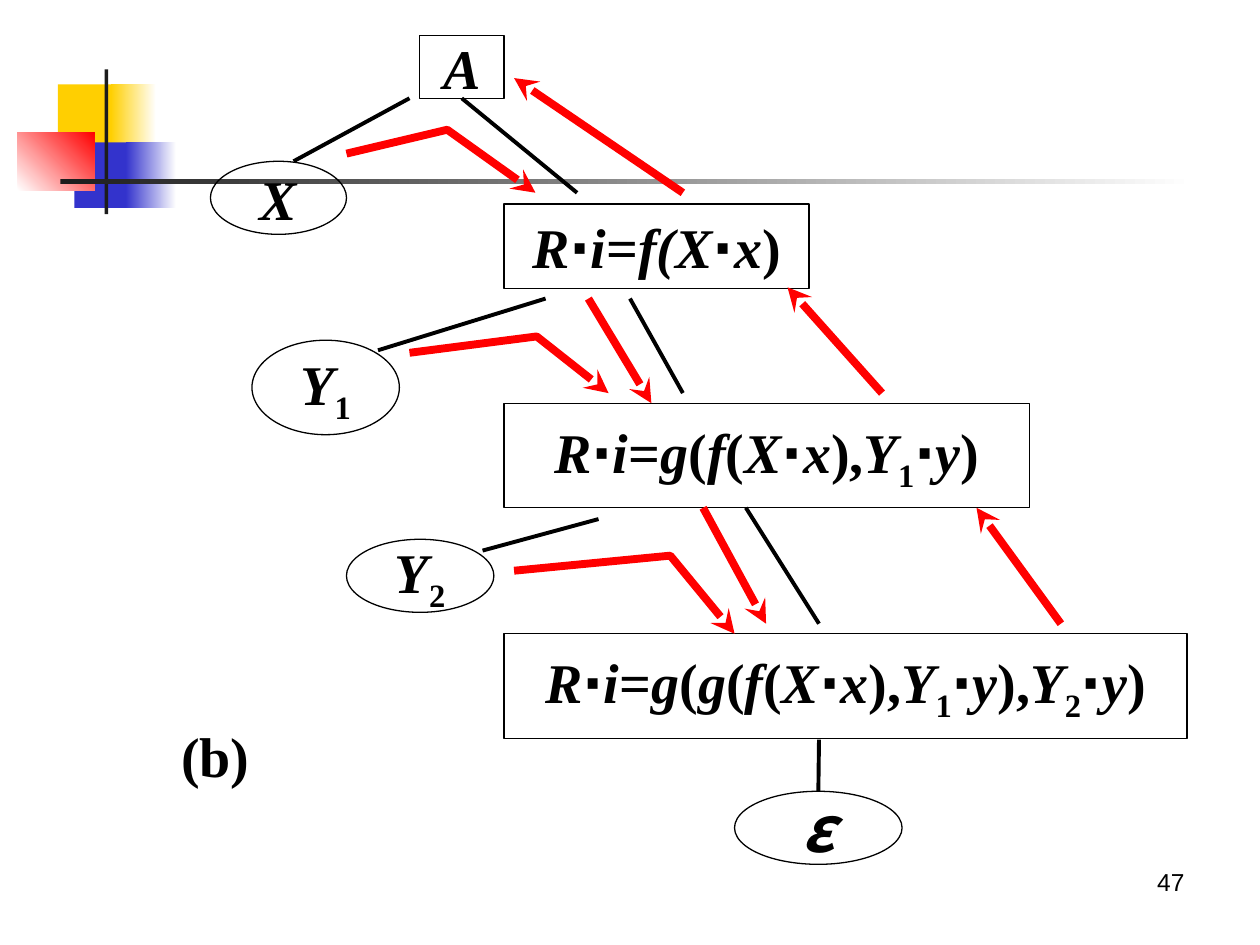
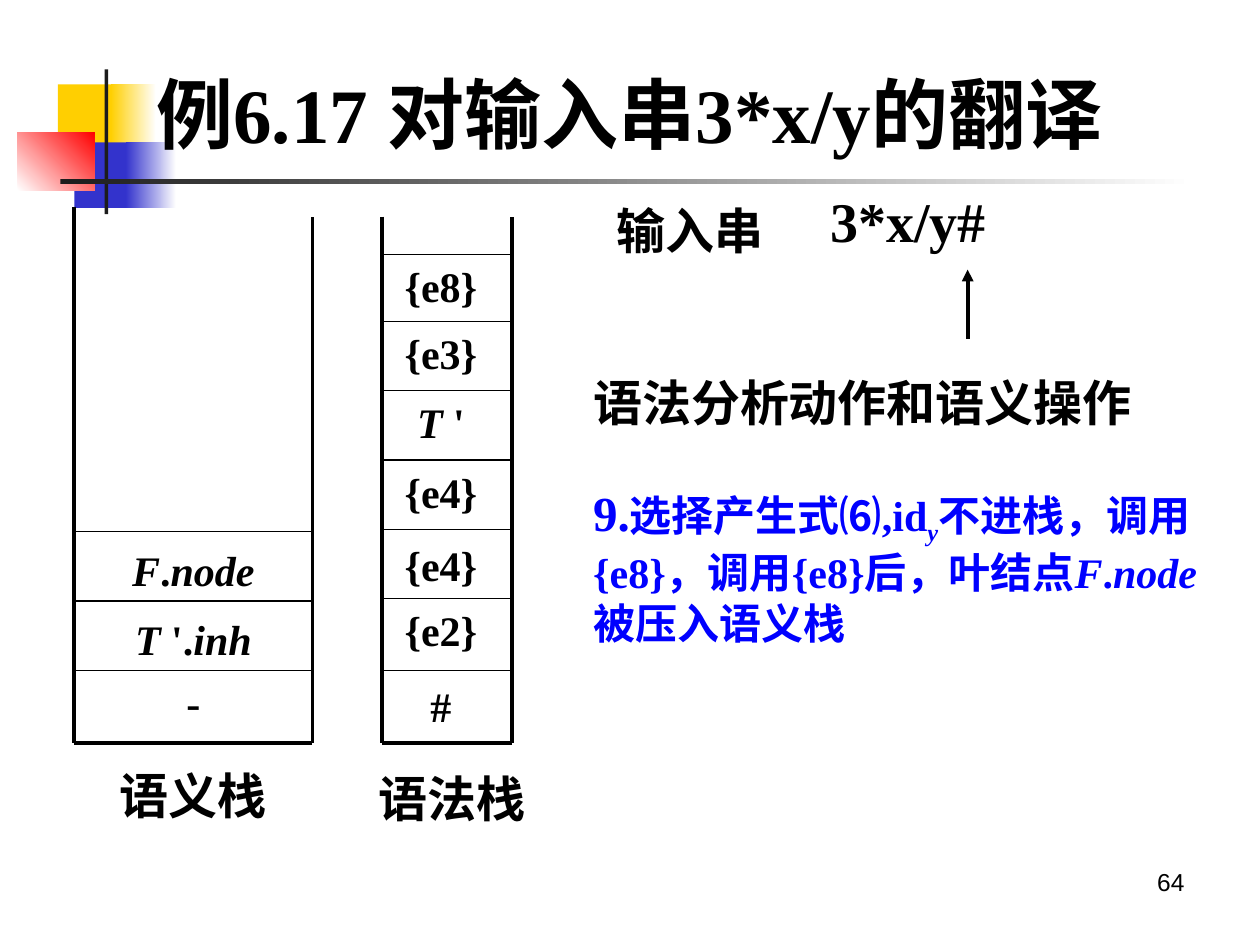
"""Builds two compiler slides: an attribute evaluation tree and a translation stack trace."""
from lxml.etree import SubElement
from pptx import Presentation
from pptx.dml.color import RGBColor
from pptx.enum.shapes import MSO_CONNECTOR as LINK, MSO_SHAPE as SHAPE
from pptx.enum.text import MSO_ANCHOR as ANCHOR, MSO_AUTO_SIZE as FIT, PP_ALIGN as ALIGN
from pptx.oxml.ns import qn
from pptx.util import Inches, Pt

BLACK, RED, BLUE, WHITE = "000000", "FF0000", "0000FF", "FFFFFF"
YELLOW, INDIGO, CHARCOAL = "FFCF01", "3333CC", "1C1C1C"
SERIF, SANS, CJK = "Times New Roman", "Arial", "Noto Sans CJK SC"
rgb = RGBColor.from_string


def write(frame, markup, size=24, align=ALIGN.CENTER, color=BLACK, font=SERIF,
          bold=True, anchor=ANCHOR.TOP, wrap=True):
    """Fills a frame with runs split by |, where / marks italic and _ a subscript."""
    frame.word_wrap, frame.vertical_anchor, frame.auto_size = wrap, anchor, FIT.NONE
    paragraph = frame.paragraphs[0]
    paragraph.alignment = align
    for part in markup.split("|"):
        italic = part.startswith("/")
        part = part.removeprefix("/")
        run = paragraph.add_run()
        run.text = part.removeprefix("_")
        run.font.name = SANS if part == "⋅" else font
        run.font.size, run.font.bold, run.font.italic = Pt(size), bold, italic
        run.font.color.rgb = rgb(color)
        properties = run.font._element
        SubElement(properties, qn("a:ea"), typeface=CJK)
        if part.startswith("_"):
            properties.set("baseline", "-25000")
    return paragraph


def stroke(shape, color=BLACK, width=2.25, tip=None):
    """Sets a plain line with an optional arrowhead at its end."""
    shape.line.color.rgb = rgb(color)
    shape.line.width = Pt(width)
    properties = shape.element.spPr
    if tip:
        SubElement(properties.find(qn("a:ln")), qn("a:tailEnd"), type=tip)
    SubElement(properties, qn("a:effectLst"))


prs = Presentation()
prs.slide_width, prs.slide_height = Inches(10), Inches(7.5)
tree = prs.slides.add_slide(prs.slide_layouts[6])
trace = prs.slides.add_slide(prs.slide_layouts[5])

bands = [
    (0.46, 0.67, 0.48, 0.52, [YELLOW], 0),
    (0.88, 0.67, 0.36, 0.52, [YELLOW, WHITE], 0),
    (0.59, 1.13, 0.46, 0.52, [INDIGO], 0),
    (1, 1.13, 0.4, 0.52, [INDIGO, WHITE], 0),
    (0.14, 1.05, 0.61, 0.46, [WHITE, RED], 45),
    (0.83, 0.55, 0.03, 1.15, [CHARCOAL], 0),
    (0.48, 1.42, 9, 0.04, [CHARCOAL, WHITE], 0),
]
for *place, colors, angle in bands:
    band = tree.shapes.add_shape(SHAPE.RECTANGLE, *map(Inches, place))
    band.shadow.inherit = False
    band.line.fill.background()
    if len(colors) == 1:
        band.fill.solid()
        band.fill.fore_color.rgb = rgb(colors[0])
    else:
        band.fill.gradient()
        band.fill.gradient_angle = angle
        for stop, color in zip(band.fill.gradient_stops, colors):
            stop.color.rgb = rgb(color)
    prs.slide_master.shapes.element.append(band.element)

for slide, number in [(tree, "47"), (trace, "64")]:
    corner = slide.shapes.add_textbox(Inches(7.17), Inches(6.83), Inches(2.33), Inches(0.52))
    write(corner.text_frame, number, 14, ALIGN.RIGHT, font=SANS, bold=False)

symbols = [
    (SHAPE.RECTANGLE, 3.33, 0.28, 0.67, 0.5, "/A"),
    (SHAPE.RECTANGLE, 4, 1.62, 2.42, 0.67, "/R|⋅|/i|=|/f(X|⋅|/x|)"),
    (SHAPE.RECTANGLE, 4, 3.2, 4.17, 0.83, "/R|⋅|/i|=|/g|(|/f|(|/X|⋅|/x|),|/Y|_1|⋅|/y|)"),
    (SHAPE.RECTANGLE, 4, 5.03, 5.42, 0.83,
     "/R|⋅|/i|=|/g|(|/g|(|/f|(|/X|⋅|/x|),|/Y|_1|⋅|/y|),|/Y|_2|⋅|/y|)"),
    (SHAPE.OVAL, 2.75, 4.28, 1.17, 0.58, "/Y|_2"),
    (SHAPE.OVAL, 2, 2.7, 1.17, 0.75, "/Y|_1"),
    (SHAPE.OVAL, 1.67, 1.28, 1.08, 0.58, "/X"),
    (SHAPE.OVAL, 5.83, 6.28, 1.33, 0.58, "/ε"),
]
nodes = []
for outline, *place, markup in symbols:
    node = tree.shapes.add_shape(outline, *map(Inches, place))
    node.fill.background()
    stroke(node, width=0.75)
    size, font = (36, CJK) if markup == "/ε" else (32, SERIF)
    write(node.text_frame, markup, size, font=font, anchor=ANCHOR.MIDDLE, wrap=False)
    nodes.append(node)
root, epsilon = nodes[0], nodes[-1]

branches = [
    (3.67, 0.78, 4.58, 1.53), (3.25, 0.78, 2.33, 1.28), (5, 2.37, 5.42, 3.12),
    (4.33, 2.37, 3, 2.78), (5.92, 4.03, 6.5, 4.95), (4.75, 4.12, 3.83, 4.37),
    (6.5, 5.87, 6.5, 6.28),
]
edges = []
for ends in branches:
    edge = tree.shapes.add_connector(LINK.STRAIGHT, *map(Inches, ends))
    stroke(edge)
    edges.append(edge)
edges[0].begin_connect(root, 2)
edges[-1].end_connect(epsilon, 0)

inherited_flows = [
    [(2.75, 1.22), (3.55, 1.03), (4.25, 1.53)],
    [(3.25, 2.8), (4.26, 2.67), (4.83, 3.12)],
    [(4.08, 4.53), (5.32, 4.41), (5.83, 5.03)],
]
for start, *bends in inherited_flows:
    builder = tree.shapes.build_freeform(*map(Inches, start), scale=1.0)
    builder.add_line_segments([(Inches(x), Inches(y)) for x, y in bends], close=False)
    flow = builder.convert_to_shape()
    flow.fill.background()
    stroke(flow, RED, 4.5, "stealth")

direct_flows = [
    (4.67, 2.37, 5.17, 3.2), (5.58, 4.03, 6.08, 4.95), (8.42, 4.95, 7.75, 4.03),
    (7, 3.12, 6.25, 2.28), (5.42, 1.53, 4.08, 0.62),
]
for ends in direct_flows:
    flow = tree.shapes.add_connector(LINK.STRAIGHT, *map(Inches, ends))
    stroke(flow, RED, 4.5, "stealth")

part_label = tree.shapes.add_textbox(Inches(1.34), Inches(5.67), Inches(0.74), Inches(0.64))
write(part_label.text_frame, "(b)", 32, anchor=ANCHOR.MIDDLE, wrap=False)

heading = trace.shapes.title
heading.left, heading.top = Inches(1.14), Inches(0.48)
heading.width, heading.height = Inches(8.66), Inches(0.84)
write(heading.text_frame, "例6.17 对输入串3*x/y的翻译", 44, ALIGN.LEFT)

floor = 5.9
semantic_cells = [(4.22, 4.27, "/F|.|/node"), (4.77, 4.82, "/T |'.|/inh"), (5.32, 5.32, "-")]
syntax_cells = [
    (2.02, 2.02, "{e8}"), (2.55, 2.55, "{e3}"), (3.1, 3.1, "/T |'"), (3.65, 3.65, "{e4}"),
    (4.2, 4.23, "{e4}"), (4.75, 4.75, "{e2}"), (5.32, 5.35, "#"),
]
stacks = [
    (0.59, 2.48, 1.64, 0.67, 1.73, semantic_cells),
    (3.03, 4.06, 1.72, 3.03, 0.94, syntax_cells),
]
for left, right, left_top, cell_left, cell_width, cells in stacks:
    rules = [(left, left_top, left, floor, 2.25), (left, floor, right, floor, 2.25),
             (right, floor, right, 1.72, 2.25)]
    rules += [(left, divider, right, divider, 0.75) for divider, _, _ in cells]
    for *ends, width in rules:
        rule = trace.shapes.add_connector(LINK.STRAIGHT, *map(Inches, ends))
        stroke(rule, width=width)
    for _, top, markup in cells:
        cell = trace.shapes.add_textbox(*map(Inches, (cell_left, top, cell_width, 0.5)))
        write(cell.text_frame, markup)

captions = [
    (0.67, 6.03, 1.73, 0.57, "语义栈", 28, ALIGN.CENTER),
    (2.72, 6.05, 1.73, 0.57, "语法栈", 28, ALIGN.CENTER),
    (4.61, 1.54, 1.73, 0.57, "输入串", 28, ALIGN.CENTER),
    (6.49, 1.43, 1.58, 0.64, "3*x/y#", 32, ALIGN.LEFT),
    (4.61, 2.91, 4.88, 0.57, "语法分析动作和语义操作", 28, ALIGN.LEFT),
]
for *place, words, size, align in captions:
    caption = trace.shapes.add_textbox(*map(Inches, place))
    write(caption.text_frame, words, size, align)

input_pointer = trace.shapes.add_connector(
    LINK.STRAIGHT, Inches(7.68), Inches(2.69), Inches(7.68), Inches(2.14))
stroke(input_pointer, tip="triangle")

action = trace.shapes.add_textbox(Inches(4.61), Inches(3.78), Inches(5.2), Inches(1.41))
step = write(action.text_frame,
             "9.|选择产生式⑹,id|/_y|不进栈，调用{e8}，调用{e8}后，叶结点|/F|.|/node|被压入语义栈",
             align=ALIGN.LEFT, color=BLUE)
step.runs[0].font.size = Pt(28)

prs.save("out.pptx")
